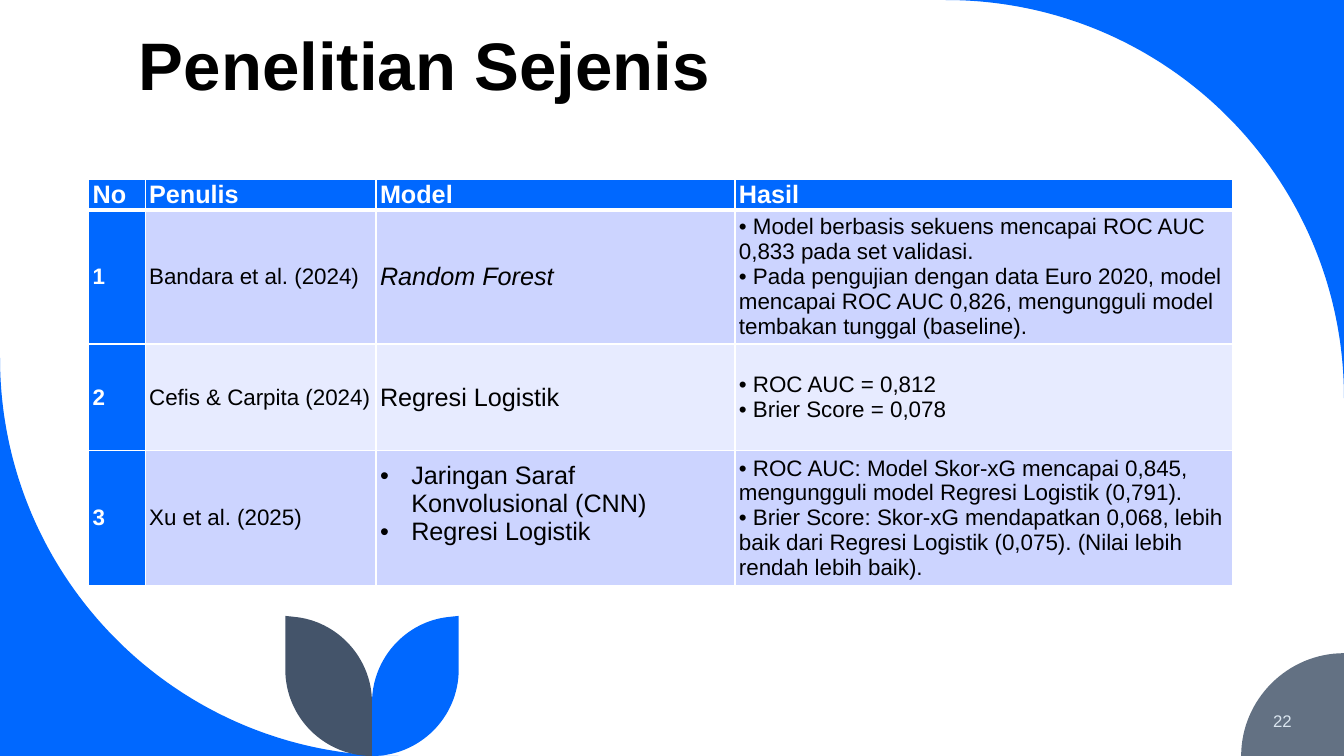
from lxml import etree
from pptx import Presentation
from pptx import util as u
from pptx.dml.color import RGBColor
from pptx.enum import text
from pptx.oxml.ns import qn

COLORS = {"blue": "0068FF", "slate": "637183", "navy": "44546A", "white": "FFFFFF",
          "black": "000000", "number": "DAE5EF", "odd": "CCD4FF", "even": "E7EBFF"}
FONT = "Arial"
WIDTH, HEIGHT = 13.33, 7.5

TITLE = "Penelitian Sejenis"
PAGE = "22"
HEADINGS = ["No", "Penulis", "Model", "Hasil"]
STUDIES = [
    ("1", "Bandara et al. (2024)", ["Random Forest"],
     ["• Model berbasis sekuens mencapai ROC AUC 0,833 pada set validasi.",
      "• Pada pengujian dengan data Euro 2020, model mencapai ROC AUC 0,826, "
      "mengungguli model tembakan tunggal (baseline)."]),
    ("2", "Cefis & Carpita (2024)", ["Regresi Logistik"],
     ["• ROC AUC = 0,812", "• Brier Score = 0,078"]),
    ("3", "Xu et al. (2025)", ["Jaringan Saraf Konvolusional (CNN)", "Regresi Logistik"],
     ["• ROC AUC: Model Skor-xG mencapai 0,845, mengungguli model Regresi Logistik (0,791).",
      "• Brier Score: Skor-xG mendapatkan 0,068, lebih baik dari Regresi Logistik (0,075). "
      "(Nilai lebih rendah lebih baik)."]),
]
ITALIC_MODELS = {"Random Forest"}
COLUMN_WIDTHS = [0.56, 2.29, 3.56, 4.94]
ROW_HEIGHTS = [0.26, 0.64, 1.06, 0.85]

CORNER = [[(13.33, 0)], [(13.33, 3.95)], [(13.33, 1.77), (11.57, 0), (9.38, 0)]]
PAGE_DISC = [[(13.33, 7.5)], [(13.33, 6.48)], [(12.77, 6.48), (12.31, 6.94), (12.31, 7.5)]]
LEAF = [[(4.55, 6.11)], [(4.55, 6.64)], [(4.55, 7.12), (4.16, 7.5), (3.69, 7.5)],
        [(3.69, 6.97)], [(3.69, 6.53), (4.03, 6.16), (4.46, 6.12)]]
LEAF_AXIS = 3.69


def rgb(name):
    return RGBColor.from_string(COLORS[name])


def moved(outline, move):
    return [[move(x, y) for x, y in step] for step in outline]


def draw_outline(slide, outline, color):
    corners = [(u.Inches(x), u.Inches(y)) for step in outline for x, y in step]
    builder = slide.shapes.build_freeform(*corners[0])
    builder.add_line_segments(corners[1:], close=True)
    shape = builder.convert_to_shape()
    segments = list(shape._element.iter(qn("a:lnTo")))
    for step in outline[1:]:
        first, *others = [segments.pop(0) for _ in step]
        if others:
            first.tag = qn("a:cubicBezTo")
        for segment in others:
            first.append(segment[0])
            segment.getparent().remove(segment)
    shape.shadow.inherit = False
    shape.fill.solid()
    shape.fill.fore_color.rgb = rgb(color)
    shape.line.fill.background()


def write(paragraph, words, size, color, bold=False, italic=False):
    run = paragraph.add_run()
    run.text = words
    run.font.name = FONT
    run.font.size = u.Pt(size)
    run.font.bold = bold
    run.font.italic = italic
    run.font.color.rgb = rgb(color)


def add_label(slide, box, words, size, color, anchor, align, bold=False):
    frame = slide.shapes.add_textbox(*map(u.Inches, box)).text_frame
    frame.word_wrap = True
    frame.vertical_anchor = anchor
    paragraph = frame.paragraphs[0]
    paragraph.alignment = align
    paragraph.line_spacing = 0.9 if bold else 1.0
    write(paragraph, words, size, color, bold)


def add_bullet(paragraph):
    properties = paragraph._p.get_or_add_pPr()
    indent = u.Inches(0.31)
    properties.set("marL", str(indent))
    properties.set("indent", str(-indent))
    etree.SubElement(properties, qn("a:buFont"), typeface=FONT)
    etree.SubElement(properties, qn("a:buChar"), char="•")


def add_borders(cell, points_by_side):
    properties = cell._tc.get_or_add_tcPr()
    for side, points in points_by_side.items():
        line = etree.SubElement(properties, qn("a:ln" + side), w=str(u.Pt(points)))
        fill = etree.SubElement(line, qn("a:solidFill"))
        etree.SubElement(fill, qn("a:srgbClr"), val=COLORS["white"])


def fill_cell(cell, lines, row, column):
    header, bulleted = row == 0, len(lines) > 1 and column == 2
    strong = header or column == 0
    size = 18 if header or column == 2 else 16
    cell.margin_left = cell.margin_right = u.Inches(0.04)
    cell.margin_top = 0
    cell.margin_bottom = u.Inches(0.28 if bulleted else 0)
    cell.vertical_anchor = text.MSO_ANCHOR.MIDDLE
    add_borders(cell, {"L": 1, "R": 1, "T": 3 if row == 1 else 1, "B": 3 if header else 1})
    cell.fill.solid()
    cell.fill.fore_color.rgb = rgb("blue" if strong else "odd" if row % 2 else "even")
    frame = cell.text_frame
    for i, words in enumerate(lines):
        paragraph = frame.add_paragraph() if i else frame.paragraphs[0]
        if bulleted:
            add_bullet(paragraph)
        write(paragraph, words, size, "white" if strong else "black", strong,
              words in ITALIC_MODELS)


def add_studies(slide):
    rows = [HEADINGS] + STUDIES
    table = slide.shapes.add_table(
        len(rows), len(HEADINGS), u.Inches(0.88), u.Inches(1.78),
        u.Inches(sum(COLUMN_WIDTHS)), u.Inches(sum(ROW_HEIGHTS))).table
    for column, width in zip(table.columns, COLUMN_WIDTHS):
        column.width = u.Inches(width)
    for row, height in zip(table.rows, ROW_HEIGHTS):
        row.height = u.Inches(height)
    for r, entries in enumerate(rows):
        for c, entry in enumerate(entries):
            lines = [entry] if isinstance(entry, str) else entry
            fill_cell(table.cell(r, c), lines, r, c)


def main():
    deck = Presentation()
    deck.slide_width, deck.slide_height = u.Inches(WIDTH), u.Inches(HEIGHT)
    slide = deck.slides.add_slide(deck.slide_layouts[6])

    draw_outline(slide, CORNER, "blue")
    draw_outline(slide, moved(CORNER, lambda x, y: (WIDTH - x, HEIGHT - y)), "blue")
    draw_outline(slide, PAGE_DISC, "slate")
    draw_outline(slide, LEAF, "blue")
    draw_outline(slide, moved(LEAF, lambda x, y: (2 * LEAF_AXIS - x, y)), "navy")

    add_label(slide, (1.28, 0.41, 10.69, 0.68), TITLE, 48, "black",
              text.MSO_ANCHOR.BOTTOM, text.PP_ALIGN.LEFT, bold=True)
    add_label(slide, (11.1, 6.95, 1.81, 0.4), PAGE, 12, "number",
              text.MSO_ANCHOR.MIDDLE, text.PP_ALIGN.RIGHT)
    add_studies(slide)
    deck.save("out.pptx")


if __name__ == "__main__":
    main()
